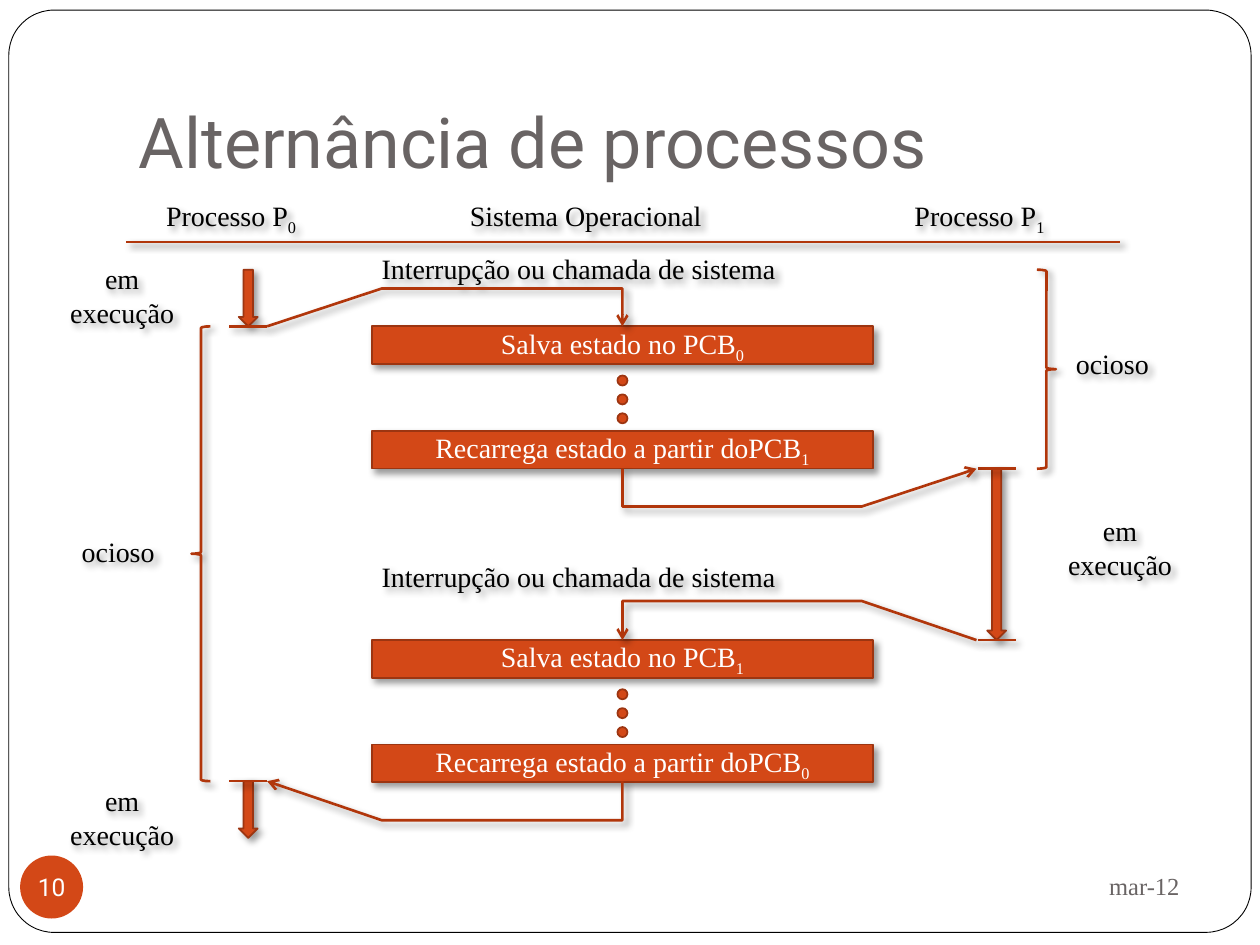
from lxml import etree
from pptx import Presentation
from pptx.dml.color import RGBColor
from pptx.enum.shapes import MSO_CONNECTOR, MSO_SHAPE
from pptx.enum.text import MSO_ANCHOR, MSO_AUTO_SIZE, PP_ALIGN
from pptx.oxml.ns import qn
from pptx.util import Inches, Pt

CENTER, LEFT, RIGHT = PP_ALIGN.CENTER, PP_ALIGN.LEFT, PP_ALIGN.RIGHT
MIDDLE, BOTTOM = MSO_ANCHOR.MIDDLE, MSO_ANCHOR.BOTTOM
NO_AUTOFIT, GROW = MSO_AUTO_SIZE.NONE, MSO_AUTO_SIZE.SHAPE_TO_FIT_TEXT
STRAIGHT = MSO_CONNECTOR.STRAIGHT
RECTANGLE, ROUNDED = MSO_SHAPE.RECTANGLE, MSO_SHAPE.ROUNDED_RECTANGLE
OVAL, DOWN_ARROW, BRACE = MSO_SHAPE.OVAL, MSO_SHAPE.DOWN_ARROW, MSO_SHAPE.RIGHT_BRACE

SERIF, SANS = "Times New Roman", "Roboto"
ORANGE, OUTLINE, STROKE = "D34817", "9C3511", "B1360B"
GRAY, BLACK, WHITE = "696464", "000000", "FFFFFF"
BAR_WIDTH, ARROW_WIDTH = 0.3, 0.15
SYSTEM_LEFT, SYSTEM_WIDTH, STEP_HEIGHT = 2.95, 3.98, 0.3
SYSTEM_CENTER = SYSTEM_LEFT + SYSTEM_WIDTH / 2


def color(value):
    return RGBColor.from_string(value)


def inches(*lengths):
    return [Inches(length) for length in lengths]


def set_line(shape, value, width):
    shape.line.color.rgb = color(value)
    shape.line.width = Pt(width)


def cast_shadow(shape):
    effects = etree.SubElement(shape.element.spPr, qn("a:effectLst"))
    shadow = etree.SubElement(effects, qn("a:outerShdw"), blurRad=str(Pt(4)),
                              dist=str(Pt(3)), dir="2700000", rotWithShape="0")
    tint = etree.SubElement(shadow, qn("a:srgbClr"), val=BLACK)
    etree.SubElement(tint, qn("a:alpha"), val="40000")


def add_shape(shapes, kind, box, fill=None, line=None, width=1, shadow=False):
    shape = shapes.add_shape(kind, *inches(*box))
    if fill:
        shape.fill.solid()
        shape.fill.fore_color.rgb = color(fill)
    else:
        shape.fill.background()
    if line:
        set_line(shape, line, width)
    else:
        shape.line.fill.background()
    if shadow:
        cast_shadow(shape)
    else:
        shape.shadow.inherit = False
    return shape


def write(paragraph, text, size, font, value, subscript=""):
    for content, lowered in ((text, False), (subscript, True)):
        if content:
            run = paragraph.add_run()
            run.text = content
            run.font.size = Pt(size)
            run.font.name = font
            run.font.color.rgb = color(value)
            if lowered:
                run.font._element.set("baseline", "-25000")


def add_label(slide, box, lines, subscript="", align=LEFT):
    label = slide.shapes.add_textbox(*inches(*box))
    cast_shadow(label)
    frame = label.text_frame
    frame.word_wrap = False
    frame.auto_size = GROW
    for index, text in enumerate(lines):
        paragraph = frame.add_paragraph() if index else frame.paragraphs[0]
        paragraph.alignment = align
        write(paragraph, text, 16, SERIF, BLACK, subscript)


def add_rule(slide, left, top, width):
    rule = slide.shapes.add_connector(STRAIGHT, *inches(left, top, left + width, top))
    set_line(rule, STROKE, 1.5)
    cast_shadow(rule)


def add_route(slide, left, top, slope, rise, arrow_end):
    level = top + rise
    points = [(left, top), (left + slope, level),
              (SYSTEM_CENTER, level), (SYSTEM_CENTER, top)]
    start, *others = [tuple(inches(*point)) for point in points]
    builder = slide.shapes.build_freeform(*start)
    builder.add_line_segments(others, close=False)
    route = builder.convert_to_shape()
    route.fill.background()
    set_line(route, STROKE, 1.5)
    etree.SubElement(route.line._get_or_add_ln(), qn(arrow_end), type="arrow")
    cast_shadow(route)


def add_brace(slide, left, top, height, flipped=False):
    brace = add_shape(slide.shapes, BRACE, (left, top, 0.15, height),
                      line=STROKE, width=1.5, shadow=True)
    if flipped:
        brace.element.spPr.xfrm.set("flipH", "1")


def add_running(slide, center, top, height):
    add_shape(slide.shapes, DOWN_ARROW, (center - ARROW_WIDTH / 2, top, ARROW_WIDTH, height),
              ORANGE, OUTLINE, shadow=True)


def add_frame(slide, left, top, width, height):
    border = add_shape(slide.shapes, ROUNDED, (left, top, width, height), WHITE, BLACK, 0.5)
    border.adjustments[0] = 0.049
    slide.shapes._spTree.insert(2, border.element)

    badge = add_shape(slide.shapes, OVAL, (left + 0.09, top + 6.71, 0.5, 0.5), ORANGE)
    frame = badge.text_frame
    frame.margin_left = frame.margin_right = frame.margin_top = frame.margin_bottom = 0
    frame.word_wrap = False
    frame.vertical_anchor = MIDDLE
    frame.paragraphs[0].alignment = CENTER
    write(frame.paragraphs[0], "10", 14, SANS, WHITE)

    date = slide.shapes.add_textbox(*inches(left + 6.68, top + 6.69, 2.71, 0.52))
    frame = date.text_frame
    frame.word_wrap = True
    frame.vertical_anchor = MIDDLE
    frame.paragraphs[0].alignment = RIGHT
    write(frame.paragraphs[0], "mar-12", 14, SERIF, GRAY)


def add_title(slide, left, top, width, height):
    title = slide.shapes.title
    title.left, title.top, title.width, title.height = inches(left, top, width, height)
    frame = title.text_frame
    frame.auto_size = NO_AUTOFIT
    frame.word_wrap = True
    frame.vertical_anchor = BOTTOM
    frame.margin_bottom = Inches(0.1)
    frame.paragraphs[0].alignment = LEFT
    write(frame.paragraphs[0], "Alternância de processos", 40, SANS, GRAY)


def add_header(slide, left, top, width):
    for offset, label_width, text, subscript in (
            (0.22, 1.43, "Processo P", "0"),
            (2.63, 2.28, "Sistema Operacional", ""),
            (6.16, 1.43, "Processo P", "1")):
        add_label(slide, (left + offset, top, label_width, 0.37), [text], subscript)
    add_rule(slide, left, top + 0.39, width)


def add_system_switch(slide, left, top, label_top, saved, loaded):
    add_label(slide, (left - 0.02, label_top, 3.78, 0.37),
              ["Interrupção ou chamada de sistema"])
    for offset, text, process in ((0, "Salva estado no PCB", saved),
                                  (0.83, "Recarrega estado a partir doPCB", loaded)):
        step = add_shape(slide.shapes, RECTANGLE,
                         (left, top + offset, SYSTEM_WIDTH, STEP_HEIGHT),
                         ORANGE, OUTLINE, shadow=True)
        step.text_frame.vertical_anchor = MIDDLE
        step.text_frame.paragraphs[0].alignment = CENTER
        write(step.text_frame.paragraphs[0], text, 16, SERIF, WHITE, process)
    dots = slide.shapes.add_group_shape()
    for index in range(3):
        add_shape(dots.shapes, OVAL,
                  (SYSTEM_CENTER - 0.04, top + 0.39 + 0.15 * index, 0.08, 0.08),
                  ORANGE, OUTLINE)


def add_first_process(slide, left, top):
    center, stop, resume = left + 1.58, top + 0.45, top + 4.06
    for start, label_top in ((top, top - 0.11), (resume, resume - 0.03)):
        add_running(slide, center, start, 0.45)
        add_label(slide, (left, label_top, 1.16, 0.64), ["em", "execução"], align=CENTER)
    for level, rise, arrow_end in ((stop, -0.3, "a:tailEnd"), (resume, 0.31, "a:headEnd")):
        add_rule(slide, center - BAR_WIDTH / 2, level, BAR_WIDTH)
        add_route(slide, center + BAR_WIDTH / 2, level, 0.91, rise, arrow_end)
    add_brace(slide, left + 1.13, stop, resume - stop, flipped=True)
    add_label(slide, (left + 0.16, top + 2.05, 0.85, 0.37), ["ocioso"])


def add_second_process(slide, left, top):
    center, start, stop = left + 0.16, top + 1.58, top + 2.94
    add_brace(slide, left + 0.48, top, start - top)
    add_label(slide, (left + 0.69, top + 0.56, 0.85, 0.37), ["ocioso"])
    add_running(slide, center, start, stop - start)
    add_label(slide, (left + 0.56, top + 1.89, 1.16, 0.64), ["em", "execução"], align=CENTER)
    for level, rise, arrow_end in ((start, 0.3, "a:headEnd"), (stop, -0.31, "a:tailEnd")):
        add_rule(slide, center - BAR_WIDTH / 2, level, BAR_WIDTH)
        add_route(slide, left, level, -0.91, rise, arrow_end)


def main():
    presentation = Presentation()
    presentation.slide_width, presentation.slide_height = inches(10, 7.5)
    slide = presentation.slides.add_slide(presentation.slide_layouts[5])
    add_frame(slide, 0.07, 0.08, 9.86, 7.32)
    add_title(slide, 1, 0.3, 8.5, 1.25)
    add_header(slide, 1, 1.53, 7.89)
    add_system_switch(slide, SYSTEM_LEFT, 2.59, 1.95, "0", "1")
    add_system_switch(slide, SYSTEM_LEFT, 5.08, 4.39, "1", "0")
    add_first_process(slide, 0.39, 2.14)
    add_second_process(slide, 7.75, 2.14)
    presentation.save("out.pptx")


if __name__ == "__main__":
    main()
